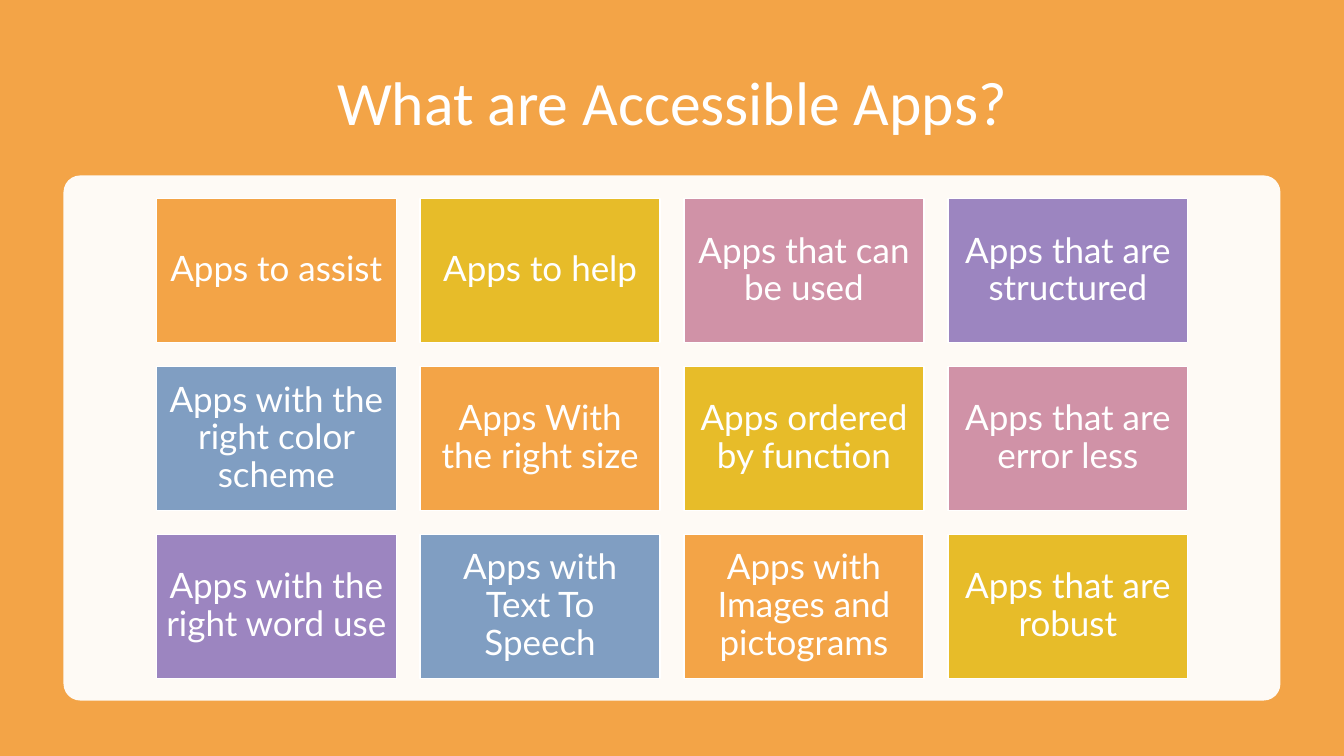
from lxml import etree
from pptx import Presentation
from pptx.dml.color import RGBColor
from pptx.enum.shapes import MSO_SHAPE
from pptx.enum.text import MSO_ANCHOR, PP_ALIGN
from pptx.oxml.ns import qn
from pptx.util import Inches, Pt

WHITE = RGBColor(0xFF, 0xFF, 0xFF)
ORANGE = RGBColor(0xF3, 0xA4, 0x47)
YELLOW = RGBColor(0xE7, 0xBC, 0x29)
PINK = RGBColor(0xD0, 0x92, 0xA7)
PURPLE = RGBColor(0x9C, 0x85, 0xC0)
BLUE = RGBColor(0x80, 0x9E, 0xC2)
TILE_COLORS = [ORANGE, YELLOW, PINK, PURPLE, BLUE]

TILES = [
    "Apps to assist",
    "Apps to help",
    "Apps that can be used",
    "Apps that are structured",
    "Apps with the right color scheme",
    "Apps With the right size",
    "Apps ordered by function",
    "Apps that are error less",
    "Apps with the right word use",
    "Apps with Text To Speech",
    "Apps with Images and pictograms",
    "Apps that are robust",
]
COLUMNS = 4
GRID_LEFT, GRID_TOP = 1.55, 1.97
TILE_W, TILE_H = 2.38, 1.43
STEP_X, STEP_Y = 2.617, 1.665


def add_box(s, kind, left, top, width, height, color):
    """Add a filled shape without outline or shadow."""
    sp = s.shapes.add_shape(kind, Inches(left), Inches(top), Inches(width), Inches(height))
    sp.shadow.inherit = False
    sp.fill.solid()
    sp.fill.fore_color.rgb = color
    sp.line.fill.background()
    return sp


def write_text(sp, text, font, size):
    """Write one centred white paragraph into a shape."""
    tf = sp.text_frame
    tf.word_wrap = True
    tf.vertical_anchor = MSO_ANCHOR.MIDDLE
    tf.text = text
    p = tf.paragraphs[0]
    p.alignment = PP_ALIGN.CENTER
    p.line_spacing = 0.9
    r = p.runs[0]
    r.font.name = font
    r.font.size = Pt(size)
    r.font.color.rgb = WHITE


def add_title(s, text):
    """Add the slide title."""
    sp = s.shapes.add_textbox(Inches(0.92), Inches(0.5), Inches(11.5), Inches(1.1))
    write_text(sp, text, "Calibri", 44)


def add_panel(s):
    """Add the slightly transparent rounded panel behind the tiles."""
    sp = add_box(s, MSO_SHAPE.ROUNDED_RECTANGLE, 0.63, 1.74, 12.07, 5.21, WHITE)
    sp.adjustments[0] = 0.032
    color = sp.fill._xPr.find(qn("a:solidFill"))[0]
    etree.SubElement(color, qn("a:alpha"), val="95000")


def add_tile(s, index, text):
    """Add one tile at its place in the grid."""
    row, column = divmod(index, COLUMNS)
    left, top = GRID_LEFT + column * STEP_X, GRID_TOP + row * STEP_Y
    color = TILE_COLORS[index % len(TILE_COLORS)]
    sp = add_box(s, MSO_SHAPE.RECTANGLE, left, top, TILE_W, TILE_H, color)
    sp.line.color.rgb = WHITE
    sp.line.width = Pt(1)
    tf = sp.text_frame
    tf.margin_left = tf.margin_right = tf.margin_top = tf.margin_bottom = Inches(0.1)
    write_text(sp, text, "Lato", 25)


def main():
    """Build and save the slide."""
    prs = Presentation()
    prs.slide_width, prs.slide_height = Inches(13.33), Inches(7.5)
    s = prs.slides.add_slide(prs.slide_layouts[6])
    add_box(s, MSO_SHAPE.RECTANGLE, 0, 0, 13.33, 7.5, ORANGE)
    add_title(s, "What are Accessible Apps?")
    add_panel(s)
    for index, text in enumerate(TILES):
        add_tile(s, index, text)
    prs.save("out.pptx")


if __name__ == "__main__":
    main()
